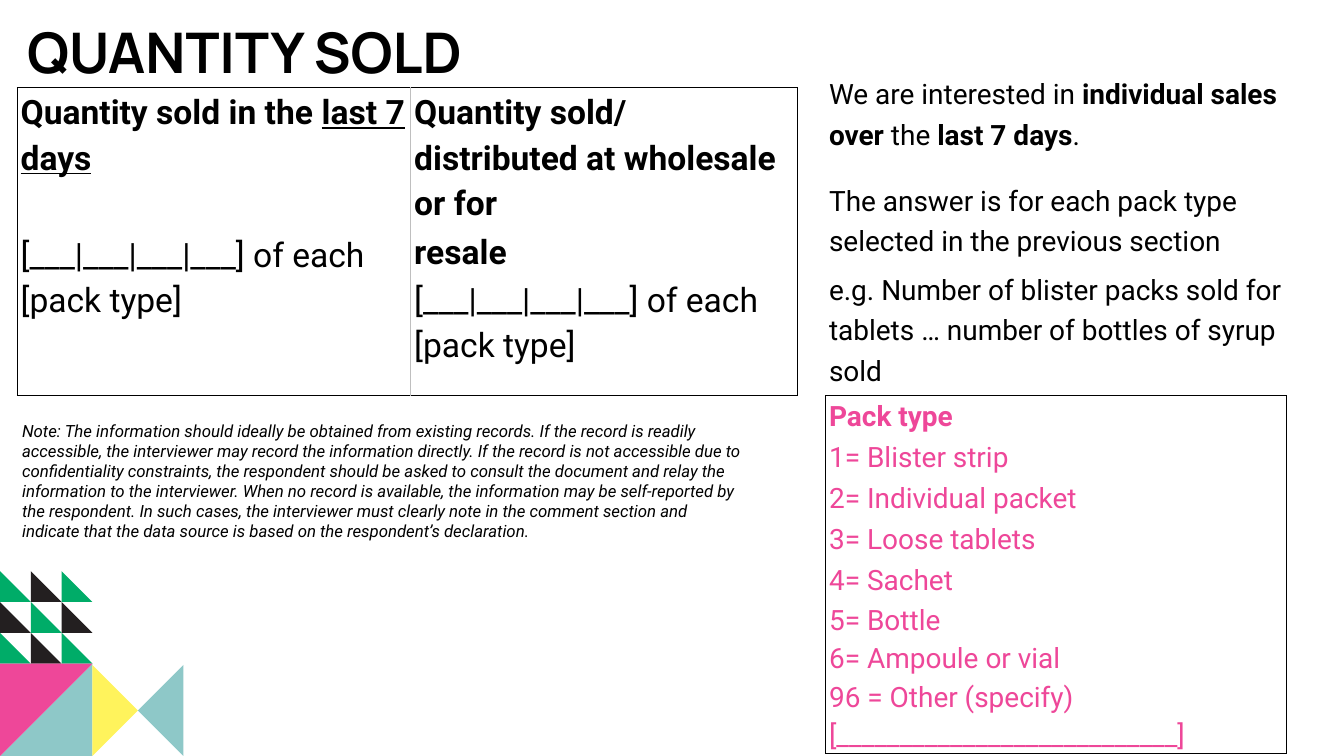
import dataclasses
from typing import Optional

import lxml.etree
import pptx
import pptx.dml.color
import pptx.enum.text
import pptx.oxml.ns
import pptx.util

Pt = pptx.util.Pt
MSO_ANCHOR = pptx.enum.text.MSO_ANCHOR


@dataclasses.dataclass(frozen=True)
class Theme:
    black: str = "000000"
    white: str = "FFFFFF"
    rule: str = "BFBFBF"
    ink: str = "231F20"
    green: str = "00AC68"
    teal: str = "8EC8C8"
    pink: str = "EE4799"
    yellow: str = "FFF35C"
    heading_font: str = "Manrope"
    body_font: str = "Roboto"
    title_size: float = 80
    question_size: float = 48
    body_size: float = 40
    note_size: float = 24


THEME = Theme()


@dataclasses.dataclass(frozen=True)
class Run:
    text: str
    bold: bool = False
    underline: bool = False
    italic: bool = False


@dataclasses.dataclass(frozen=True)
class Para:
    runs: tuple[Run, ...]
    before: float = 0


@dataclasses.dataclass(frozen=True)
class Style:
    size: float
    font: str = THEME.body_font
    color: str = THEME.black
    line: float = 1
    after: float = 0


@dataclasses.dataclass(frozen=True)
class Box:
    left: float
    top: float
    width: float
    height: float


@dataclasses.dataclass(frozen=True)
class Triangle:
    points: tuple[tuple[float, float], ...]
    color: str


@dataclasses.dataclass(frozen=True)
class Borders:
    left: Optional[str] = None
    right: Optional[str] = None
    top: Optional[str] = None
    bottom: Optional[str] = None


TITLE = Style(THEME.title_size, THEME.heading_font)
BODY = Style(THEME.body_size, line=1.2)
NOTE = Style(THEME.note_size)
QUESTION = Style(THEME.question_size, line=1.15, after=4.8)
PACK = Style(THEME.body_size, color=THEME.pink, line=1.15, after=4.8)


def rgb(color: str) -> pptx.dml.color.RGBColor:
    return pptx.dml.color.RGBColor.from_string(color)


def line(text: str, bold: bool = False, before: float = 0) -> Para:
    return Para((Run(text, bold),), before)


def write(tf, paras: list[Para], style: Style) -> None:
    for i, para in enumerate(paras):
        p = tf.paragraphs[0] if i == 0 else tf.add_paragraph()
        p.line_spacing = style.line
        p.space_before = Pt(para.before)
        p.space_after = Pt(style.after)
        for run in para.runs:
            r = p.add_run()
            r.text = run.text
            r.font.name = style.font
            r.font.size = Pt(style.size)
            r.font.color.rgb = rgb(style.color)
            r.font.bold = run.bold
            r.font.underline = run.underline
            r.font.italic = run.italic


def add_text(s, box: Box, paras: list[Para], style: Style,
             inset: tuple[float, float] = (14.4, 7.2), anchor=MSO_ANCHOR.TOP) -> None:
    sp = s.shapes.add_textbox(Pt(box.left), Pt(box.top), Pt(box.width), Pt(box.height))
    tf = sp.text_frame
    tf.word_wrap = True
    tf.vertical_anchor = anchor
    tf.margin_left = tf.margin_right = Pt(inset[0])
    tf.margin_top = tf.margin_bottom = Pt(inset[1])
    write(tf, paras, style)


def add_triangle(s, triangle: Triangle) -> None:
    first, *rest = triangle.points
    builder = s.shapes.build_freeform(Pt(first[0]), Pt(first[1]))
    builder.add_line_segments([(Pt(x), Pt(y)) for x, y in rest], close=True)
    sp = builder.convert_to_shape()
    sp.shadow.inherit = False
    sp.fill.solid()
    sp.fill.fore_color.rgb = rgb(triangle.color)
    sp.line.fill.background()


def add_grid(s, left: float, top: float, widths: list[float], heights: list[float]):
    frame = s.shapes.add_table(len(heights), len(widths), Pt(left), Pt(top),
                               Pt(sum(widths)), Pt(sum(heights)))
    table = frame.table
    table.first_row = table.horz_banding = False
    for column, width in zip(table.columns, widths):
        column.width = Pt(width)
    for row, height in zip(table.rows, heights):
        row.height = Pt(height)
    return table


def fill_cell(cell, paras: list[Para], style: Style, borders: Borders,
              anchor=MSO_ANCHOR.TOP) -> None:
    qn = pptx.oxml.ns.qn
    props = cell._tc.get_or_add_tcPr()
    edges = {"a:lnL": borders.left, "a:lnR": borders.right,
             "a:lnT": borders.top, "a:lnB": borders.bottom}
    for tag, color in edges.items():
        edge = lxml.etree.SubElement(props, qn(tag), w=str(Pt(1)))
        if color:
            solid = lxml.etree.SubElement(edge, qn("a:solidFill"))
            lxml.etree.SubElement(solid, qn("a:srgbClr"), val=color)
        else:
            lxml.etree.SubElement(edge, qn("a:noFill"))
    cell.fill.solid()
    cell.fill.fore_color.rgb = rgb(THEME.white)
    cell.margin_left = cell.margin_right = Pt(5)
    cell.margin_top = cell.margin_bottom = 0
    cell.vertical_anchor = anchor
    write(cell.text_frame, paras, style)


def add_pattern(s) -> None:
    step, top, base, bottom = 44, 816, 948, 1080
    for row in range(3):
        for col in range(3):
            x, y = col * step, top + row * step
            color = THEME.ink if (row + col) % 2 else THEME.green
            add_triangle(s, Triangle(((x, y), (x, y + step), (x + step, y + step)), color))
    side, mid, tail, crown = 132, 197, 262, 950
    center = (mid, (crown + bottom) / 2)
    for triangle in (
        Triangle(((side, bottom), (side, base), (0, bottom)), THEME.teal),
        Triangle(((side, base), (0, base), (0, bottom)), THEME.pink),
        Triangle(((side, bottom), center, (side, crown)), THEME.yellow),
        Triangle((center, (tail, bottom), (tail, crown)), THEME.teal),
    ):
        add_triangle(s, triangle)


def add_questions(s) -> None:
    black, rule = THEME.black, THEME.rule
    answer = "[___|___|___|___] of each [pack type]"
    table = add_grid(s, 24.5, 125.3, [562.3, 552.2], [440])
    recent = [Para((Run("Quantity sold in the ", True), Run("last 7 days", True, True))),
              line(answer, before=69.5)]
    resale = [line("Quantity sold/ distributed at wholesale or for", True),
              line("resale", True), line(answer)]
    fill_cell(table.cell(0, 0), recent, QUESTION, Borders(black, rule, black, black))
    fill_cell(table.cell(0, 1), resale, QUESTION, Borders(rule, black, black, black))


def add_pack_types(s) -> None:
    black = THEME.black
    groups = [
        [line("Pack type", True)],
        [line(t) for t in ("1= Blister strip", "2= Individual packet",
                           "3= Loose tablets", "4= Sachet")],
        [line("5= Bottle")],
        [line("6= Ampoule or vial")],
        [line("96 = Other (specify) [___________________________]")],
    ]
    table = add_grid(s, 1179.4, 565.2, [658], [46.8, 212.4, 46.8, 46.8, 97.9])
    for i, paras in enumerate(groups):
        borders = Borders(black, black, black if i == 0 else None,
                          black if i == len(groups) - 1 else None)
        fill_cell(table.cell(i, 0), paras, PACK, borders, MSO_ANCHOR.MIDDLE)


def main() -> None:
    prs = pptx.Presentation()
    prs.slide_width, prs.slide_height = Pt(1920), Pt(1080)
    s = prs.slides.add_slide(prs.slide_layouts[6])
    add_pattern(s)
    add_text(s, Box(1170, 92.9, 726, 126.7), [Para((
        Run("We are interested in "), Run("individual sales over ", True),
        Run("the "), Run("last 7 days", True), Run(".")))], BODY)
    add_text(s, Box(24.5, 21.6, 1440, 103.7), [line("QUANTITY SOLD", True)], TITLE,
             anchor=MSO_ANCHOR.MIDDLE)
    add_text(s, Box(1170, 245.5, 695, 200), [
        line("The answer is for each pack type selected in the previous section"),
        line("e.g. Number of blister packs sold for tablets … number of bottles of syrup sold",
             before=12)], BODY)
    add_questions(s)
    add_pack_types(s)
    note = (
        "Note: The information should ideally be obtained from existing records. If the record "
        "is readily accessible, the interviewer may record the information directly. If the "
        "record is not accessible due to confidentiality constraints, the respondent should be "
        "asked to consult the document and relay the information to the interviewer. When no "
        "record is available, the information may be self-reported by the respondent. In such "
        "cases, the interviewer must clearly note in the comment section and indicate that the "
        "data source is based on the respondent’s declaration.")
    add_text(s, Box(24.5, 597, 1044, 181.4), [Para((Run(note, italic=True),))], NOTE, (7.2, 3.6))
    prs.save("out.pptx")


if __name__ == "__main__":
    main()
